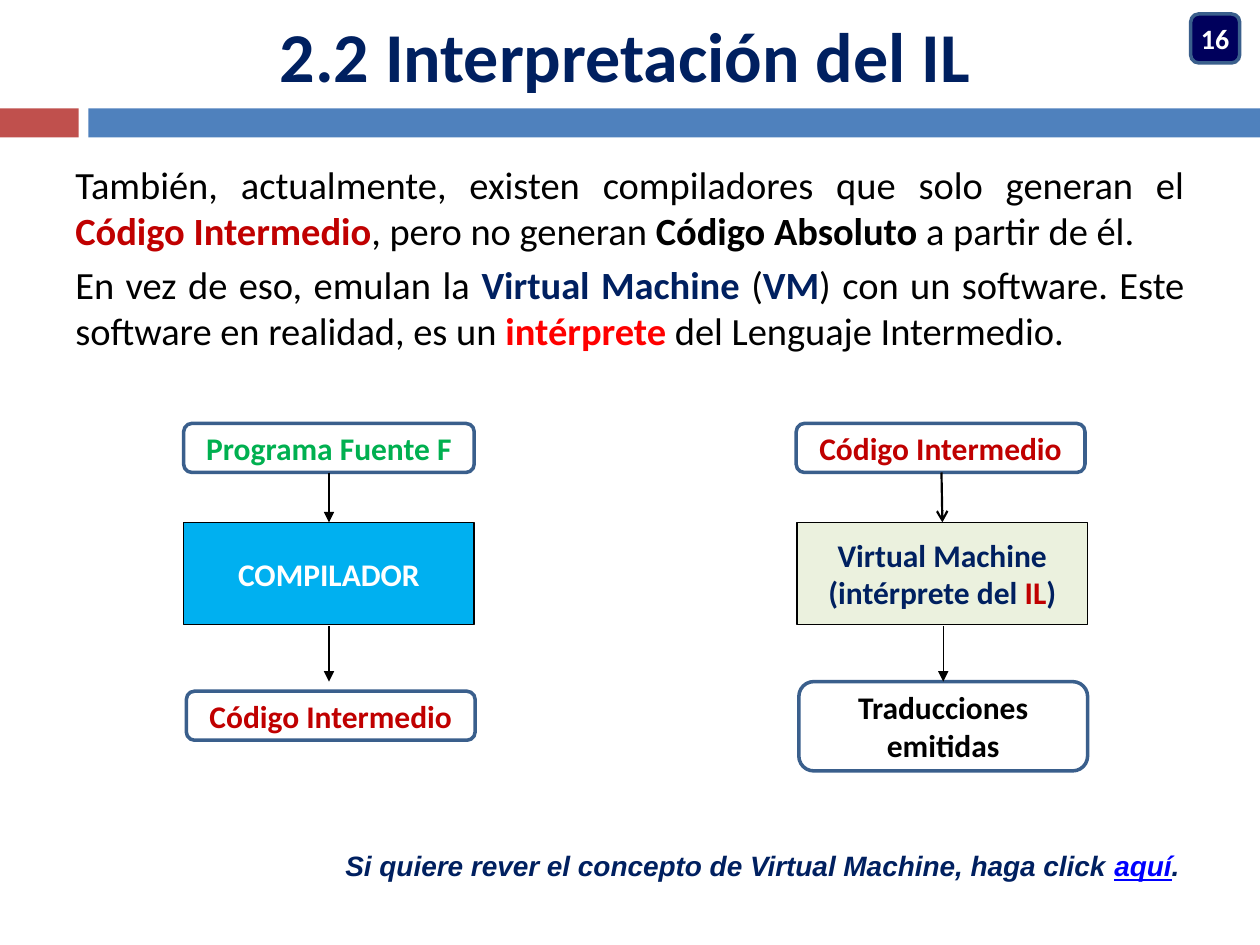
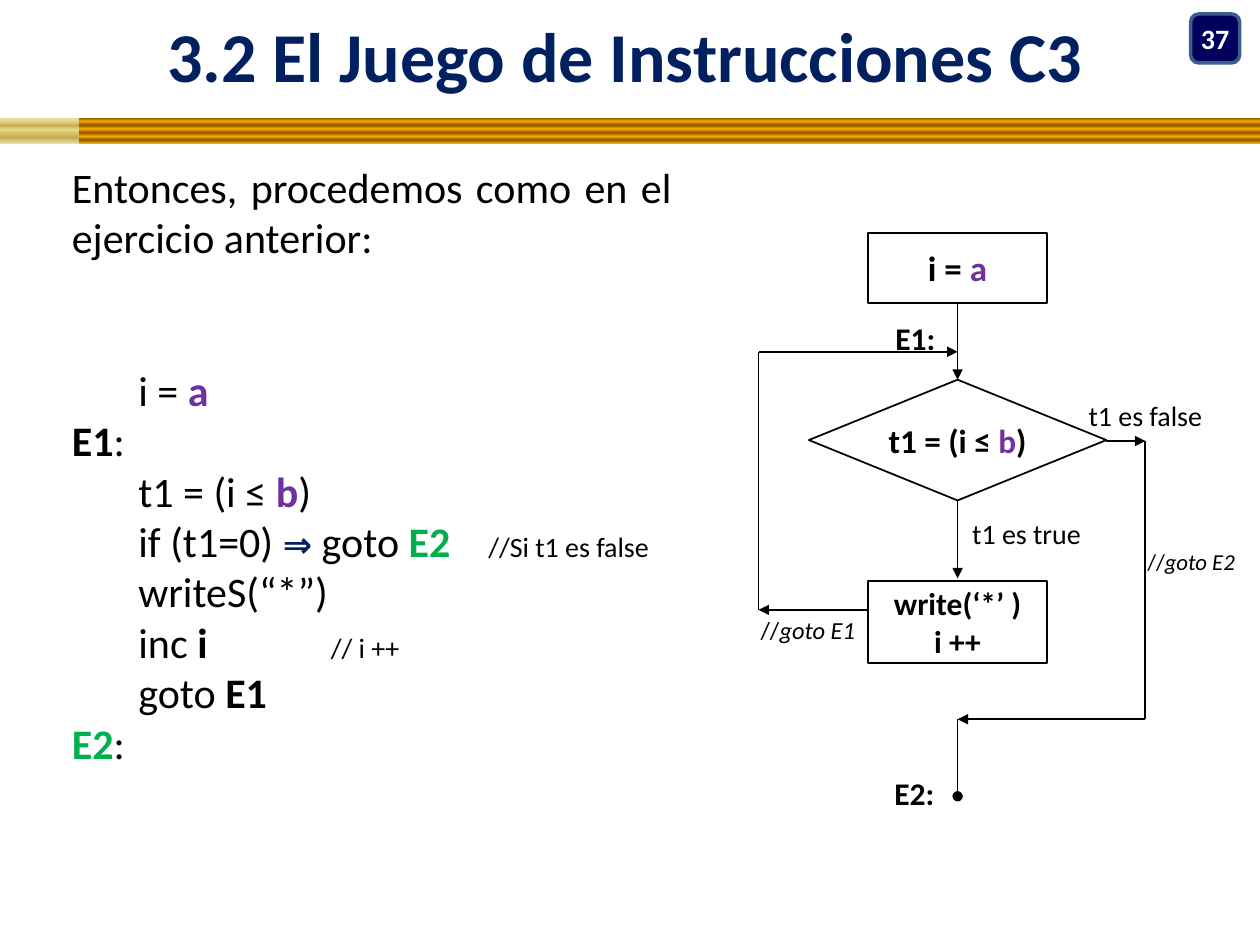
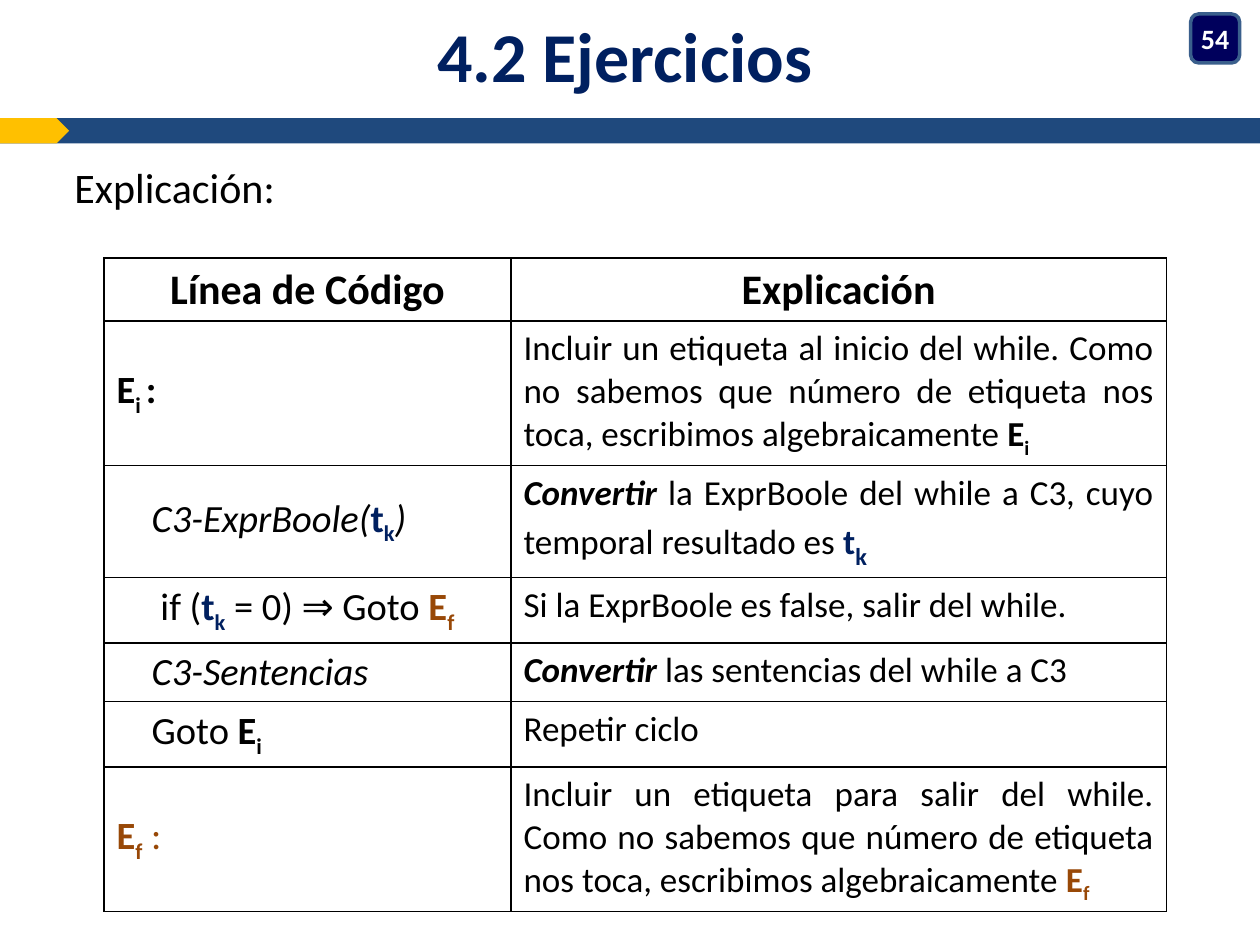
from lxml import etree
from pptx import Presentation
from pptx.dml.color import RGBColor
from pptx.enum.shapes import MSO_CONNECTOR, MSO_SHAPE
from pptx.enum.text import MSO_ANCHOR, PP_ALIGN
from pptx.oxml.ns import qn
from pptx.util import Pt

RECT = MSO_SHAPE.RECTANGLE
ROUNDED = MSO_SHAPE.ROUNDED_RECTANGLE
DECISION = MSO_SHAPE.FLOWCHART_DECISION
PENTAGON = MSO_SHAPE.PENTAGON
STRAIGHT = MSO_CONNECTOR.STRAIGHT
LEFT, CENTER, RIGHT, JUSTIFY = PP_ALIGN.LEFT, PP_ALIGN.CENTER, PP_ALIGN.RIGHT, PP_ALIGN.JUSTIFY
MIDDLE = MSO_ANCHOR.MIDDLE

BLACK = RGBColor(0x00, 0x00, 0x00)
WHITE = RGBColor(0xFF, 0xFF, 0xFF)
NAVY = RGBColor(0x00, 0x20, 0x60)
BADGE_BLUE = RGBColor(0x00, 0x00, 0x5C)
OUTLINE = RGBColor(0x3A, 0x5F, 0x8C)
BRICK = RGBColor(0xC0, 0x50, 0x4D)
STEEL = RGBColor(0x4F, 0x81, 0xBD)
DEEP_BLUE = RGBColor(0x1F, 0x49, 0x7D)
AMBER = RGBColor(0xFF, 0xC0, 0x00)
DARK_RED = RGBColor(0xC0, 0x00, 0x00)
RED = RGBColor(0xFF, 0x00, 0x00)
GREEN = RGBColor(0x00, 0xB0, 0x50)
SKY = RGBColor(0x00, 0xB0, 0xF0)
PALE_GREEN = RGBColor(0xEB, 0xF1, 0xDE)
PURPLE = RGBColor(0x70, 0x30, 0xA0)
LINK_BLUE = RGBColor(0x00, 0x00, 0xFF)
BROWN = RGBColor(0x98, 0x48, 0x07)

WOOD = [(0, "825600"), (13, "FFA800"), (28, "825600"), (43, "FFA800"),
        (58, "825600"), (72, "FFA800"), (87, "825600"), (100, "FFA800")]
GOLD = [(0, "E6DCAC"), (12, "E6D78A"), (30, "C7AC4C"), (45, "E6D78A"),
        (77, "C7AC4C"), (100, "E6DCAC")]


def strong(text, color=BLACK, **style):
    """Return a bold run."""
    return text, dict(style, bold=True, color=color)


def sub(text, color=BLACK, **style):
    """Return a bold subscript run."""
    return strong(text, color, subscript=True, **style)


def write(frame, paragraphs, size=18, color=BLACK, bold=False, italic=False, font="Calibri",
          align=LEFT, anchor=None, wrap=True, inset_x=None, inset_y=None,
          space_before=None, indent=0, tabs=()):
    """Fill a text frame with paragraphs made of strings and (text, style) runs."""
    frame.word_wrap = wrap
    if anchor is not None:
        frame.vertical_anchor = anchor
    if inset_x is not None:
        frame.margin_left = frame.margin_right = Pt(inset_x)
    if inset_y is not None:
        frame.margin_top = frame.margin_bottom = Pt(inset_y)
    base = dict(size=size, color=color, bold=bold, italic=italic)
    for index, runs in enumerate(paragraphs):
        paragraph = frame.add_paragraph() if index else frame.paragraphs[0]
        paragraph.alignment = align
        if space_before is not None:
            paragraph.space_before = Pt(space_before)
        properties = paragraph._p.get_or_add_pPr()
        if indent:
            properties.set("marL", str(Pt(indent)))
        if tabs:
            stops = etree.SubElement(properties, qn("a:tabLst"))
            for stop in tabs:
                etree.SubElement(stops, qn("a:tab"), pos=str(Pt(stop)), algn="l")
        for piece in [runs] if isinstance(runs, str) else runs:
            text, changes = (piece, {}) if isinstance(piece, str) else piece
            style = {**base, **changes}
            run = paragraph.add_run()
            run.text = text
            run.font.name = font
            run.font.size = Pt(style["size"])
            run.font.bold = style["bold"]
            run.font.italic = style["italic"]
            run.font.color.rgb = style["color"]
            if style.get("underline"):
                run.font.underline = True
            if style.get("subscript"):
                run._r.get_or_add_rPr().set("baseline", "-25000")


def label(slide, box, paragraphs, **text_format):
    """Add a text box and return its frame."""
    frame = slide.shapes.add_textbox(*map(Pt, box)).text_frame
    write(frame, paragraphs, **text_format)
    return frame


def block(slide, kind, box, fill=None, line=None, width=1.0, paragraphs=(), **text_format):
    """Add a preset shape, with centred text if there is any."""
    shape = slide.shapes.add_shape(kind, *map(Pt, box))
    shape.shadow.inherit = False
    if fill is None:
        shape.fill.background()
    elif isinstance(fill, list):
        fill_gradient(shape, fill)
    else:
        shape.fill.solid()
        shape.fill.fore_color.rgb = fill
    if line is None:
        shape.line.fill.background()
    else:
        shape.line.color.rgb = line
        shape.line.width = Pt(width)
    if paragraphs:
        write(shape.text_frame, paragraphs, align=CENTER, anchor=MIDDLE, **text_format)


def fill_gradient(shape, stops):
    """Fill a shape from top to bottom with (percent, colour) stops."""
    shape.fill.gradient()
    shape.fill.gradient_angle = 270
    stop_list = shape._element.spPr.find(qn("a:gradFill")).find(qn("a:gsLst"))
    for old_stop in list(stop_list):
        stop_list.remove(old_stop)
    for percent, color in stops:
        stop = etree.SubElement(stop_list, qn("a:gs"), pos=str(percent * 1000))
        etree.SubElement(stop, qn("a:srgbClr"), val=color)


def arrow(slide, start, end, tip="triangle", width=1.0):
    """Draw a straight line, with a tip at its end unless tip is None."""
    connector = slide.shapes.add_connector(STRAIGHT, *map(Pt, (*start, *end)))
    connector.line.color.rgb = BLACK
    connector.line.width = Pt(width)
    properties = connector._element.spPr
    if tip:
        etree.SubElement(properties.find(qn("a:ln")), qn("a:tailEnd"), type=tip)
    etree.SubElement(properties, qn("a:effectLst"))


def start_slide(deck, title, number, bands):
    """Add a slide with its bands, title and number badge."""
    slide = deck.slides.add_slide(deck.slide_layouts[6])
    for kind, box, fill in bands:
        block(slide, kind, box, fill)
    label(slide, (0, 0, 714, 62), [title], size=40, color=NAVY, bold=True,
          align=CENTER, anchor=MIDDLE, inset_x=0, inset_y=0)
    block(slide, ROUNDED, (680.4, 8, 28, 28), BADGE_BLUE, OUTLINE, 2, [number],
          size=16, color=WHITE, bold=True, inset_x=0)
    return slide


def style_cell(cell):
    """Clear a cell's fill and give it thin black borders."""
    cell.fill.background()
    properties = cell._tc.get_or_add_tcPr()
    for position, side in enumerate(("a:lnL", "a:lnR", "a:lnT", "a:lnB")):
        border = etree.Element(qn(side), w=str(Pt(1)))
        fill = etree.SubElement(border, qn("a:solidFill"))
        etree.SubElement(fill, qn("a:srgbClr"), val=str(BLACK))
        properties.insert(position, border)


def build_interpretation(deck):
    """Build the slide that compares the compiler and the interpreter."""
    slide = start_slide(deck, "2.2 Interpretación del IL", "16", [
        (RECT, (0, 62, 45, 16.5), BRICK), (RECT, (50.5, 62, 669.5, 16.5), STEEL)])
    label(slide, (36, 88.5, 648, 130), [
        ["También, actualmente, existen compiladores que solo generan el ",
         strong("Código Intermedio", DARK_RED), ", pero no generan ",
         strong("Código Absoluto"), " a partir de él."],
        ["En vez de eso, emulan la ", strong("Virtual Machine", NAVY), " (", strong("VM", NAVY),
         ") con un software. Este software en realidad, es un ",
         strong("intérprete", RED), " del Lenguaje Intermedio."],
    ], size=22, align=JUSTIFY, space_before=4.4)

    for box, text, color in [
        ((105, 242, 166, 28), "Programa Fuente F", GREEN),
        ((106.5, 395, 165, 28), "Código Intermedio", DARK_RED),
        ((455, 242, 165, 28), "Código Intermedio", DARK_RED),
        ((456.5, 389.5, 165, 51), "Traducciones emitidas", BLACK),
    ]:
        block(slide, ROUNDED, box, WHITE, OUTLINE, 2, [text], color=color, bold=True)
    for left, fill, color, lines in [
        (105, SKY, WHITE, ["COMPILADOR"]),
        (455.5, PALE_GREEN, NAVY,
         ["Virtual Machine", ["(intérprete del ", strong("IL", DARK_RED), ")"]]),
    ]:
        block(slide, RECT, (left, 298.5, 166, 58.5), fill, BLACK, 0.75, lines,
              color=color, bold=True)

    arrow(slide, (188, 270), (188, 298.5), width=0.75)
    arrow(slide, (538, 270), (538.5, 298.5), tip="arrow", width=1.25)
    for axis in (188, 539):
        arrow(slide, (axis, 358), (axis, 389.5), width=0.75)
    label(slide, (39.5, 481.5, 641.5, 27), [
        ["Si quiere rever el concepto de Virtual Machine, haga click ",
         ("aquí", dict(color=LINK_BLUE, underline=True)), "."],
    ], size=16, color=NAVY, bold=True, italic=True, font="Arial", align=RIGHT)


def build_instructions(deck):
    """Build the slide with three-address code and its flowchart."""
    slide = start_slide(deck, "3.2 El Juego de Instrucciones C3", "37", [
        (RECT, (0, 67.5, 720, 14.5), WOOD), (RECT, (0, 67.5, 45, 14.5), GOLD)])
    code = label(slide, (34, 88.5, 357, 408), [
        "Entonces, procedemos como en el ejercicio anterior:",
        ["\ti = ", strong("a", PURPLE)],
        [strong("E1"), ":"],
        ["\tt1 = (i ≤ ", strong("b", PURPLE), ")"],
        ["\tif (t1=0) ", strong("⇒", NAVY, size=20), " goto ", strong("E2", GREEN),
         ("\t//Si t1 es false", dict(size=16))],
        "\twriteS(“*”)",
        ["\tinc ", strong("i"), ("\t// i ++", dict(size=16))],
        ["\tgoto ", strong("E1")],
        [strong("E2", GREEN), ":"],
    ], size=24, align=JUSTIFY, tabs=(38, 148, 238))
    code.paragraphs[1].space_before = Pt(58.5)

    axis, loop_x, exit_x = 547.2, 433.5, 654.5
    entry_y, test_y, body_y, exit_y = 201, 252, 348.5, 411
    for kind, top, width, height, size, lines in [
        (RECT, 133, 102, 40, 20, [["i = ", strong("a", PURPLE)]]),
        (DECISION, 217, 170, 69, 19, [["t1 = (i ≤ ", strong("b", PURPLE), ")"]]),
        (RECT, 332, 102, 47, 18, ["write(‘*’ )", "i ++"]),
    ]:
        block(slide, kind, (axis - width / 2, top, width, height), None, BLACK, 1, lines,
              size=size, bold=True, inset_x=3)

    for start, end, tip in [
        ((axis, 173), (axis, 217), "triangle"),
        ((axis, 286), (axis, 330.5), "triangle"),
        ((axis + 85, test_y), (exit_x, test_y), "triangle"),
        ((exit_x, test_y), (exit_x, exit_y), None),
        ((exit_x, exit_y), (axis, exit_y), "triangle"),
        ((axis, exit_y), (axis, 455), "oval"),
        ((axis - 51, body_y), (loop_x, body_y), "triangle"),
        ((loop_x, body_y), (loop_x, entry_y), None),
        ((loop_x, entry_y), (axis, entry_y), "triangle"),
    ]:
        arrow(slide, start, end, tip)

    for box, runs, size, bold in [
        ((615, 224, 80, 26.5), "t1 es false", 16, False),
        ((548.5, 291.5, 78, 26.5), "t1 es true", 16, False),
        ((504, 439, 37.5, 29), "E2:", 18, True),
        ((504.5, 178.5, 37.5, 29), "E1:", 18, True),
        ((427.5, 348, 68.5, 24.5), ["//", ("goto E1", dict(italic=True))], 14, False),
        ((648.5, 309.5, 65, 23), ["//", ("goto E2", dict(italic=True))], 13, False),
    ]:
        label(slide, box, [runs], size=size, bold=bold, wrap=False)


def build_exercises(deck):
    """Build the slide with the table that explains the while code."""
    slide = start_slide(deck, "4.2 Ejercicios", "54", [
        (RECT, (0, 67.5, 720, 14.5), DEEP_BLUE), (PENTAGON, (0, 67.5, 39.5, 14.5), AMBER)])
    label(slide, (35.5, 88.5, 648, 408), ["Explicación:"], size=24, align=JUSTIFY)

    slanted = dict(italic=True)
    convert = strong("Convertir", italic=True)
    rows = [
        (0, [strong("E"), sub("i "), strong(":")],
         ["Incluir un etiqueta al inicio del while. Como no sabemos que número de etiqueta "
          "nos toca, escribimos algebraicamente ", strong("E"), sub("i")]),
        (20, [("C3-ExprBoole(", slanted), strong("t", NAVY), sub("k", NAVY), (")", slanted)],
         [convert, " la ExprBoole del while a C3, cuyo temporal resultado es ",
          strong("t", NAVY), sub("k", NAVY, size=24)]),
        (25, ["if (", strong("t", NAVY), sub("k", NAVY), " = 0) ⇒ Goto ",
              strong("E", BROWN), sub("f", BROWN)],
         ["Si la ExprBoole es false, salir del while."]),
        (20, [("C3-Sentencias", slanted)],
         [convert, " las sentencias del while a C3"]),
        (20, ["Goto ", strong("E"), sub("i")], ["Repetir ciclo"]),
        (0, [strong("E", BROWN), sub("f", BROWN), (" :", dict(color=BROWN))],
         ["Incluir un etiqueta para salir del while. Como no sabemos que número de etiqueta "
          "nos toca, escribimos algebraicamente ", strong("E", BROWN), sub("f", BROWN)]),
    ]
    row_height = 29.5
    count = len(rows) + 1
    table = slide.shapes.add_table(
        count, 2, *map(Pt, (59.5, 147.5, 607, row_height * count))).table
    table.first_row = table.horz_banding = False
    for column, width in zip(table.columns, (232.5, 374.5)):
        column.width = Pt(width)
    for row in table.rows:
        row.height = Pt(row_height)
    for cell in table.iter_cells():
        style_cell(cell)
    for column, heading in enumerate(("Línea de Código", "Explicación")):
        write(table.cell(0, column).text_frame, [heading], size=24, bold=True, align=CENTER)
    for row, (indent, code, meaning) in enumerate(rows, start=1):
        code_cell = table.cell(row, 0)
        code_cell.vertical_anchor = MIDDLE
        write(code_cell.text_frame, [code], size=22, indent=indent)
        write(table.cell(row, 1).text_frame, [meaning], size=20, align=JUSTIFY)


def main():
    """Build the three slides and save the deck."""
    deck = Presentation()
    deck.slide_width, deck.slide_height = Pt(720), Pt(540)
    build_interpretation(deck)
    build_instructions(deck)
    build_exercises(deck)
    deck.save("out.pptx")


if __name__ == "__main__":
    main()
